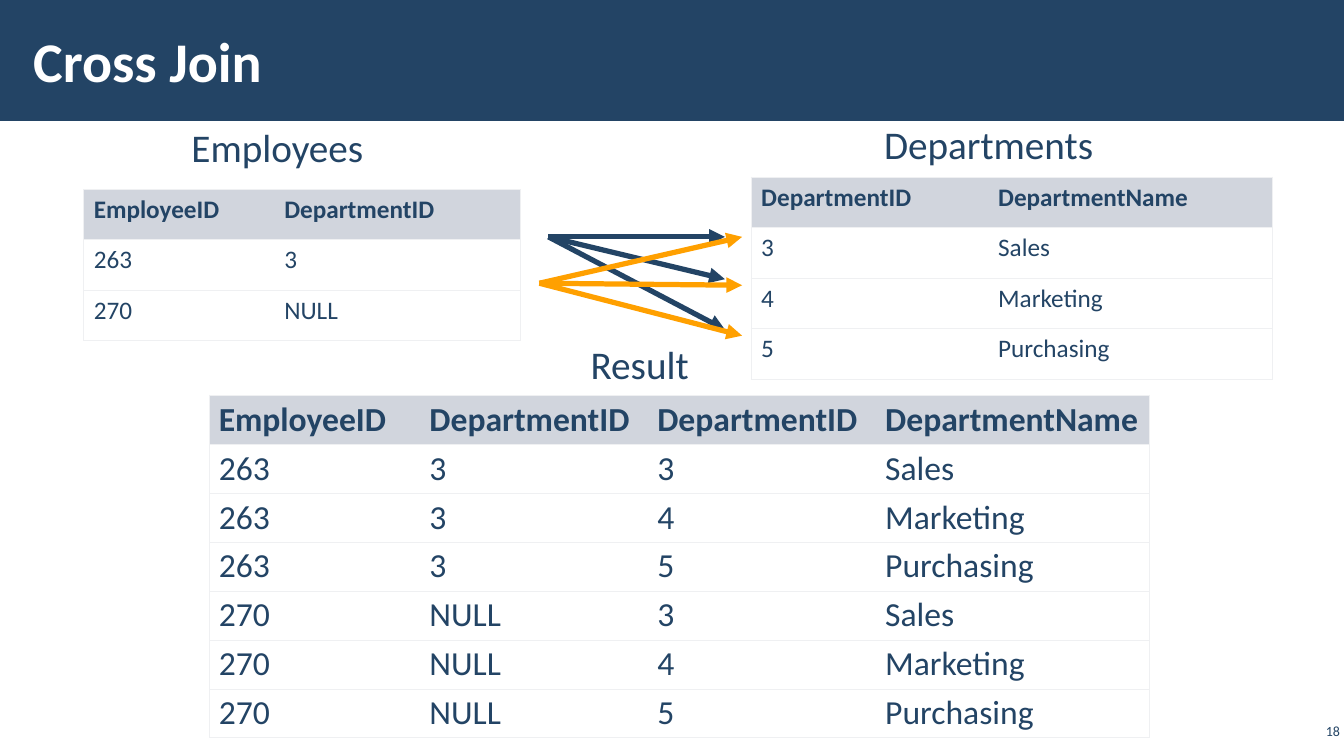
from dataclasses import dataclass
from itertools import product

from lxml.etree import SubElement as Sub
from pptx import Presentation
from pptx.dml.color import RGBColor as Rgb
from pptx.enum.shapes import MSO_CONNECTOR as Link, MSO_SHAPE as Form
from pptx.enum.text import MSO_ANCHOR as Anchor, PP_ALIGN as Align
from pptx.oxml import parse_xml
from pptx.oxml.ns import nsdecls, qn
from pptx.slide import Slide
from pptx.util import Inches, Pt


@dataclass(frozen=True)
class Theme:
    font: str = "Calibri"
    navy: str = "234465"
    amber: str = "FFA000"
    white: str = "FFFFFF"
    head: str = "D1D5DD"
    rule: str = "EFF0F2"
    title: int = 40
    label: int = 28
    large: int = 24
    small: int = 18
    page: int = 10
    stroke: float = 3.75
    edge: float = 0.75


THEME = Theme()


@dataclass(frozen=True)
class Label:
    text: str
    box: tuple[float, float, float, float]
    size: int = THEME.label
    color: str = THEME.navy
    bold: bool = False
    align: Align = Align.LEFT
    anchor: Anchor = Anchor.TOP
    inset: tuple[float, float] = (0.1, 0.05)
    wrap: bool = False


@dataclass(frozen=True)
class Grid:
    left: float
    top: float
    widths: tuple[float, ...]
    height: float
    rows: list[tuple[str, ...]]
    size: int = THEME.small
    inset: tuple[float, float] = (0.1, 0.05)


@dataclass(frozen=True)
class Fan:
    start: tuple[float, float]
    right: float
    ends: tuple[float, ...]
    color: str


# Source rows; the result is their product
STAFF = [("263", "3"), ("270", "NULL")]
UNITS = [("3", "Sales"), ("4", "Marketing"), ("5", "Purchasing")]
STAFF_HEAD = ("EmployeeID", "DepartmentID")
UNIT_HEAD = ("DepartmentID", "DepartmentName")
PAIRS = [a + b for a, b in product(STAFF, UNITS)]

LABELS = [
    Label("Cross Join", (0.21, 0.11, 10.4, 0.97), THEME.title, THEME.white, True,
          anchor=Anchor.MIDDLE, inset=(0.12, 0.04), wrap=True),
    Label("18", (12.86, 7.14, 0.47, 0.22), THEME.page, align=Align.RIGHT,
          anchor=Anchor.MIDDLE, inset=(0.04, 0.04), wrap=True),
    Label("Employees", (1.8, 1.17, 1.92, 0.57)),
    Label("Departments", (8.67, 1.14, 2.3, 0.57)),
    Label("Result", (5.76, 3.33, 1.19, 0.57)),
]
GRIDS = [
    Grid(0.83, 1.88, (1.89, 2.44), 0.5, [STAFF_HEAD, *STAFF]),
    Grid(7.45, 1.76, (2.35, 2.82), 0.5, [UNIT_HEAD, *UNITS]),
    Grid(2.08, 3.92, (2.09, 2.26, 2.26, 2.71), 0.486,
         [STAFF_HEAD + UNIT_HEAD, *PAIRS], THEME.large, (0.09, 0.04)),
]
FANS = [
    Fan((5.44, 2.35), 7.19, (2.35, 2.77, 3.27), THEME.navy),
    Fan((5.35, 2.81), 7.36, (2.35, 2.83, 3.33), THEME.amber),
]


def style(frame, size: int, color: str, bold: bool) -> None:
    for part in frame.paragraphs:
        for run in part.runs:
            font = run.font
            font.name, font.size, font.bold = THEME.font, Pt(size), bold
            font.color.rgb = Rgb.from_string(color)


def add_band(slide: Slide) -> None:
    band = slide.shapes.add_shape(
        Form.RECTANGLE, 0, 0, Inches(13.33), Inches(1.2))
    band.shadow.inherit = False
    band.fill.solid()
    band.fill.fore_color.rgb = Rgb.from_string(THEME.navy)
    band.line.fill.background()


def add_label(slide: Slide, label: Label) -> None:
    frame = slide.shapes.add_textbox(*map(Inches, label.box)).text_frame
    frame.word_wrap = label.wrap
    frame.vertical_anchor = label.anchor
    frame.margin_left = frame.margin_right = Inches(label.inset[0])
    frame.margin_top = frame.margin_bottom = Inches(label.inset[1])
    frame.text = label.text
    frame.paragraphs[0].alignment = label.align
    style(frame, label.size, label.color, label.bold)


def add_edges(cell, shown: dict[str, bool]) -> None:
    props = cell._tc.get_or_add_tcPr()
    for spot, (side, show) in enumerate(shown.items()):
        paint = (f'<a:solidFill><a:srgbClr val="{THEME.rule}"/></a:solidFill>'
                 if show else "<a:noFill/>")
        props.insert(spot, parse_xml(
            f'<a:ln{side} {nsdecls("a")} w="{Pt(THEME.edge)}">{paint}</a:ln{side}>'))


def add_grid(slide: Slide, grid: Grid) -> None:
    count, wide = len(grid.rows), len(grid.widths)
    table = slide.shapes.add_table(
        count, wide, Inches(grid.left), Inches(grid.top),
        Inches(sum(grid.widths)), Inches(grid.height * count)).table
    table.horz_banding = False
    for column, width in zip(table.columns, grid.widths):
        column.width = Inches(width)
    for r, texts in enumerate(grid.rows):
        table.rows[r].height = Inches(grid.height)
        for c, text in enumerate(texts):
            cell = table.cell(r, c)
            cell.margin_left = cell.margin_right = Inches(grid.inset[0])
            cell.margin_top = cell.margin_bottom = Inches(grid.inset[1])
            cell.text_frame.text = text
            style(cell.text_frame, grid.size, THEME.navy, r == 0)
            if r == 0:
                cell.fill.solid()
                cell.fill.fore_color.rgb = Rgb.from_string(THEME.head)
            else:
                cell.fill.background()
            add_edges(cell, {"L": c == 0, "R": c == wide - 1, "T": True, "B": True})


def add_fan(slide: Slide, fan: Fan) -> None:
    for end in fan.ends:
        arrow = slide.shapes.add_connector(
            Link.STRAIGHT, *map(Inches, (*fan.start, fan.right, end)))
        arrow.line.width = Pt(THEME.stroke)
        arrow.line.color.rgb = Rgb.from_string(fan.color)
        Sub(arrow.line._get_or_add_ln(), qn("a:tailEnd"), type="triangle")
        Sub(arrow._element.spPr, qn("a:effectLst"))


def main() -> None:
    deck = Presentation()
    deck.slide_width, deck.slide_height = Inches(13.33), Inches(7.5)
    slide = deck.slides.add_slide(deck.slide_layouts[6])
    # Title band and text
    add_band(slide)
    for label in LABELS:
        add_label(slide, label)
    # Tables
    for grid in GRIDS:
        add_grid(slide, grid)
    # Arrows that match each row with every unit
    for fan in FANS:
        add_fan(slide, fan)
    deck.save("out.pptx")


if __name__ == "__main__":
    main()
